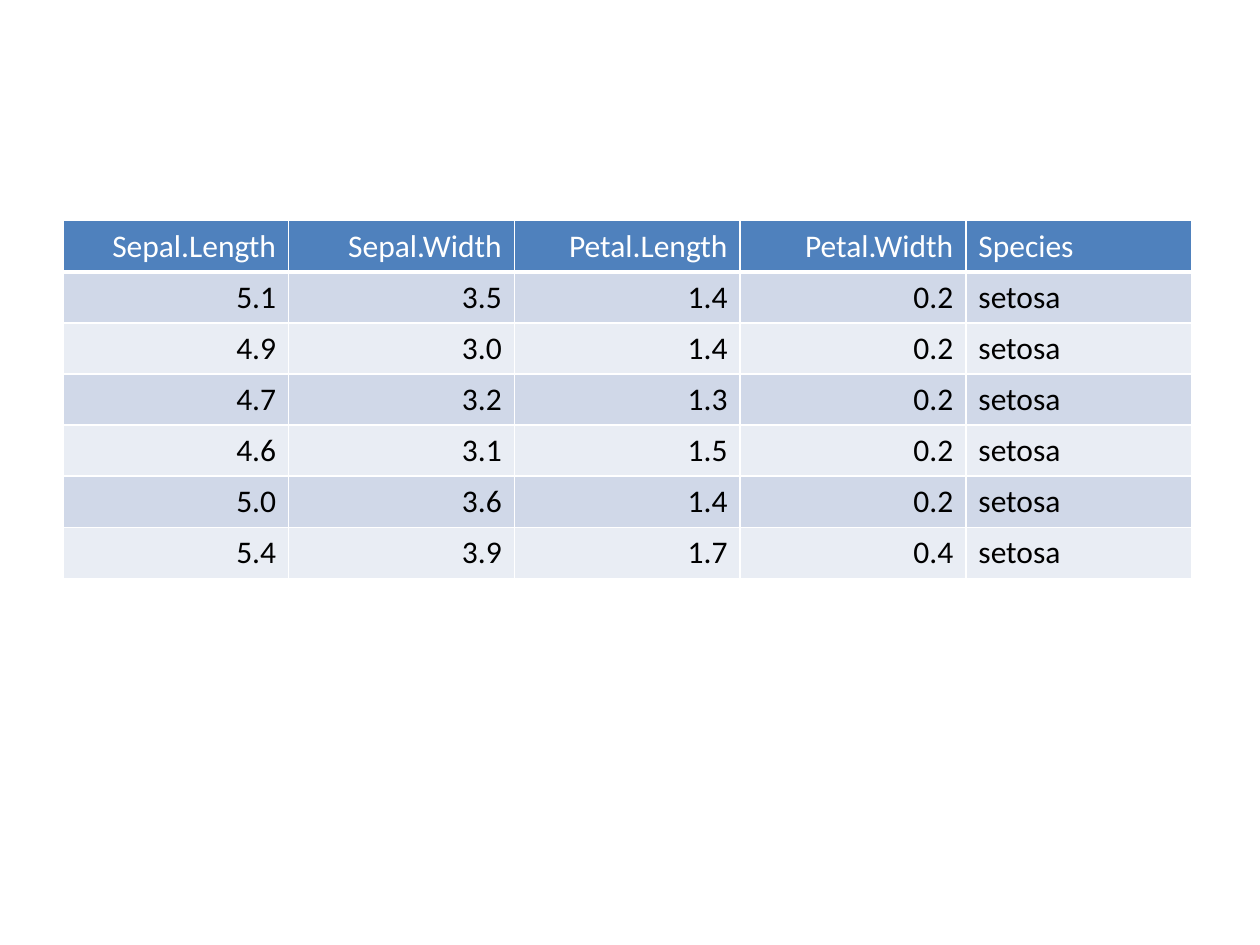
from dataclasses import dataclass

from lxml import etree
from pptx import Presentation
from pptx.dml.color import RGBColor
from pptx.enum.text import PP_ALIGN
from pptx.oxml.ns import qn
from pptx.util import Cm, Pt

LEFT, RIGHT = PP_ALIGN.LEFT, PP_ALIGN.RIGHT
FONT = "Calibri"
COLORS = {
    "header": "4F81BD",
    "odd_row": "D0D8E8",
    "even_row": "E9EDF4",
    "border": "FFFFFF",
    "header_text": "FFFFFF",
    "body_text": "000000",
}
HEADINGS = ("Sepal.Length", "Sepal.Width", "Petal.Length", "Petal.Width", "Species")
FLOWERS = (
    ("5.1", "3.5", "1.4", "0.2", "setosa"),
    ("4.9", "3.0", "1.4", "0.2", "setosa"),
    ("4.7", "3.2", "1.3", "0.2", "setosa"),
    ("4.6", "3.1", "1.5", "0.2", "setosa"),
    ("5.0", "3.6", "1.4", "0.2", "setosa"),
    ("5.4", "3.9", "1.7", "0.4", "setosa"),
)
COLUMN_WIDTH = Cm(4.55)
ROW_HEIGHT = Cm(1.03)


@dataclass(frozen=True)
class RowStyle:
    fill: str
    text: str
    bottom_border: float = 1


HEADER = RowStyle("header", "header_text", 3)
BANDS = (RowStyle("odd_row", "body_text"), RowStyle("even_row", "body_text"))


def add_border(cell, side: str, width: float) -> None:
    line = etree.SubElement(cell._tc.get_or_add_tcPr(), qn(f"a:ln{side}"), w=str(Pt(width)))
    fill = etree.SubElement(line, qn("a:solidFill"))
    etree.SubElement(fill, qn("a:srgbClr"), val=COLORS["border"])


def write_cell(cell, value: str, style: RowStyle, alignment: PP_ALIGN) -> None:
    for side in "LRT":
        add_border(cell, side, 1)
    add_border(cell, "B", style.bottom_border)
    cell.fill.solid()
    cell.fill.fore_color.rgb = RGBColor.from_string(COLORS[style.fill])
    cell.text_frame.text = value
    paragraph = cell.text_frame.paragraphs[0]
    paragraph.alignment = alignment
    font = paragraph.runs[0].font
    font.name = FONT
    font.size = Pt(18)
    font.bold = False
    font.color.rgb = RGBColor.from_string(COLORS[style.text])


def add_flower_table(slide) -> None:
    records = (HEADINGS, *FLOWERS)
    flower_table = slide.shapes.add_table(
        len(records), len(HEADINGS), Cm(1.27), Cm(4.45),
        COLUMN_WIDTH * len(HEADINGS), ROW_HEIGHT * len(records),
    ).table
    flower_table.first_row = False
    flower_table.horz_banding = False
    for row_index, record in enumerate(records):
        style = BANDS[(row_index - 1) % 2] if row_index else HEADER
        for column_index, value in enumerate(record):
            alignment = LEFT if HEADINGS[column_index] == "Species" else RIGHT
            write_cell(flower_table.cell(row_index, column_index), value, style, alignment)


def main() -> None:
    presentation = Presentation()
    presentation.slide_width = Cm(25.4)
    presentation.slide_height = Cm(19.05)
    slide = presentation.slides.add_slide(presentation.slide_layouts[6])
    add_flower_table(slide)
    presentation.save("out.pptx")


if __name__ == "__main__":
    main()
